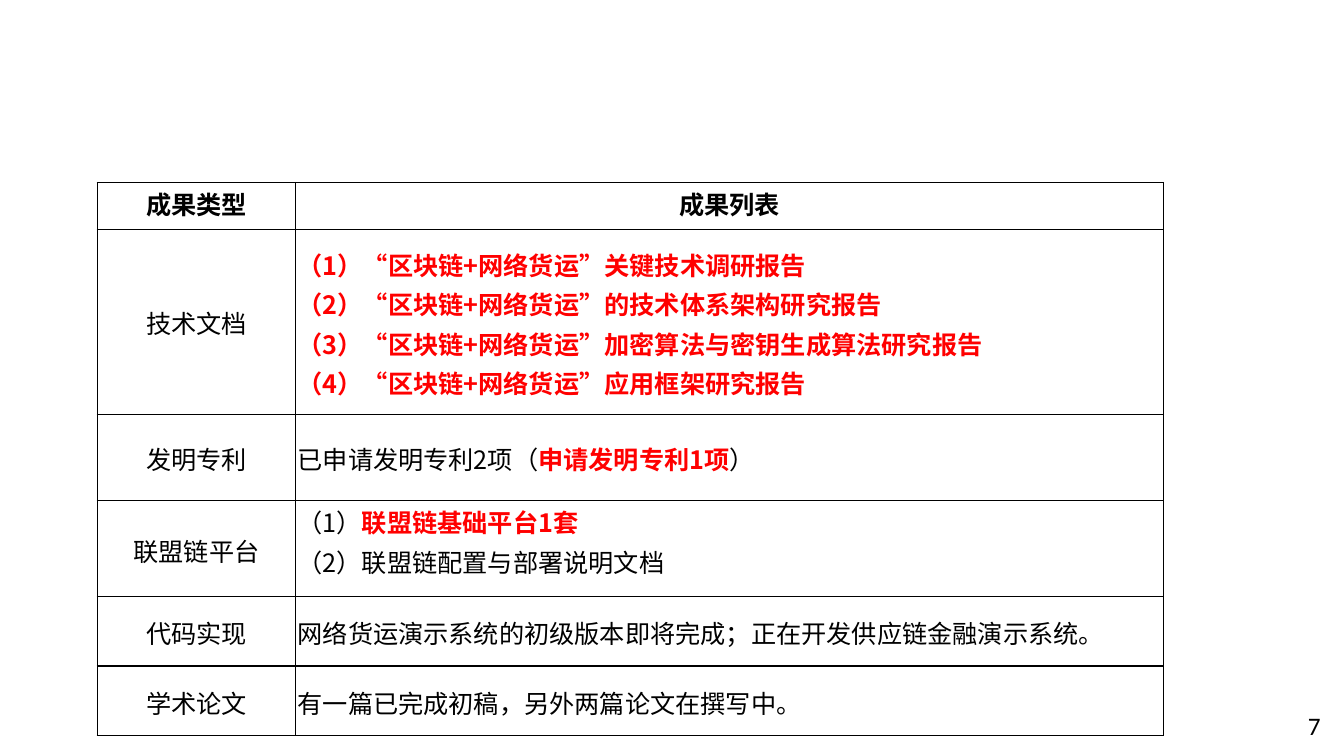
from lxml.etree import SubElement
from pptx import Presentation
from pptx.dml.color import RGBColor
from pptx.enum.text import MSO_ANCHOR as Anchor, PP_ALIGN as Align
from pptx.oxml.ns import qn
from pptx.util import Cm, Pt

BLACK = RGBColor(0x00, 0x00, 0x00)
RED = RGBColor(0xFF, 0x00, 0x00)
HEAD_FONT, BODY_FONT = "Calibri", "Noto Sans CJK SC"

PLAIN = {"size": Pt(18), "name": BODY_FONT, "bold": False, "color": BLACK}
HEAD = {**PLAIN, "name": HEAD_FONT, "bold": True}
DONE = {**PLAIN, "bold": True, "color": RED}
NUMBER = {**PLAIN, "name": HEAD_FONT}

COLUMN_WIDTHS = [5.0, 21.87]
ROW_HEIGHTS = [1.19, 4.65, 2.18, 2.41, 1.75, 1.75]
CELL_FORMAT = {"margin_left": Cm(0.05), "margin_right": Cm(0.05),
               "margin_top": 0, "margin_bottom": 0}

REPORTS = ["关键技术调研报告", "的技术体系架构研究报告",
           "加密算法与密钥生成算法研究报告", "应用框架研究报告"]

# Each result is a list of paragraphs, each paragraph a list of (text, format)
RESULTS = [
    ("技术文档", [[(f"（{n}）“区块链+网络货运”{report}", DONE)]
              for n, report in enumerate(REPORTS, 1)]),
    ("发明专利", [[("已申请发明专利2项（", PLAIN), ("申请发明专利1项", DONE),
               ("）", PLAIN)]]),
    ("联盟链平台", [[("（1）", PLAIN), ("联盟链基础平台1套", DONE)],
               [("（2）联盟链配置与部署说明文档", PLAIN)]]),
    ("代码实现", [[("网络货运演示系统的初级版本即将完成；正在开发供应链金融演示系统。", PLAIN)]]),
    ("学术论文", [[("有一篇已完成初稿，另外两篇论文在撰写中。", PLAIN)]]),
]


def write_text(frame, paragraphs, align, spacing=None):
    for index, pieces in enumerate(paragraphs):
        paragraph = frame.add_paragraph() if index else frame.paragraphs[0]
        paragraph.alignment = align
        paragraph.line_spacing = spacing
        for text, style in pieces:
            run = paragraph.add_run()
            run.text = text
            for key, value in style.items():
                if key == "color":
                    run.font.color.rgb = value
                else:
                    setattr(run.font, key, value)
            east_asian = SubElement(run.font._element, qn("a:ea"))
            east_asian.set("typeface", style["name"])


def draw_borders(cell):
    properties = cell._tc.get_or_add_tcPr()
    for side in ("L", "R", "T", "B"):
        border = SubElement(properties, qn(f"a:ln{side}"), w=str(Pt(1)))
        fill = SubElement(border, qn("a:solidFill"))
        SubElement(fill, qn("a:srgbClr"), val=str(BLACK))


def fill_cell(cell, paragraphs, align, spacing=None, anchor=Anchor.MIDDLE):
    for key, value in CELL_FORMAT.items():
        setattr(cell, key, value)
    cell.vertical_anchor = anchor
    draw_borders(cell)
    cell.fill.background()
    write_text(cell.text_frame, paragraphs, align, spacing)


def add_results_table(slide, left, top):
    results = slide.shapes.add_table(
        len(ROW_HEIGHTS), len(COLUMN_WIDTHS), left, top,
        Cm(sum(COLUMN_WIDTHS)), Cm(sum(ROW_HEIGHTS))).table
    results.first_row = results.horz_banding = False
    for column, width in zip(results.columns, COLUMN_WIDTHS):
        column.width = Cm(width)
    for row, height in zip(results.rows, ROW_HEIGHTS):
        row.height = Cm(height)

    # Heading row
    for column, heading in enumerate(["成果类型", "成果列表"]):
        fill_cell(results.cell(0, column), [[(heading, HEAD)]], Align.CENTER)

    # One row per kind of result
    for row, (kind, items) in enumerate(RESULTS, 1):
        platform = kind == "联盟链平台"
        fill_cell(results.cell(row, 0), [[(kind, PLAIN)]], Align.CENTER,
                  None if row == 1 else Pt(28))
        fill_cell(results.cell(row, 1), items,
                  Align.LEFT if platform else Align.JUSTIFY, Pt(28),
                  Anchor.TOP if platform else Anchor.MIDDLE)


def add_page_number(slide, left, top, width, height):
    frame = slide.shapes.add_textbox(left, top, width, height).text_frame
    frame.word_wrap = True
    frame.vertical_anchor = Anchor.MIDDLE
    write_text(frame, [[("7", NUMBER)]], Align.RIGHT)


def main():
    deck = Presentation()
    deck.slide_width, deck.slide_height = Cm(33.87), Cm(19.05)
    slide = deck.slides.add_slide(deck.slide_layouts[6])
    add_results_table(slide, Cm(2.45), Cm(4.6))
    add_page_number(slide, Cm(25.91), Cm(17.78), Cm(7.62), Cm(1.02))
    deck.save("out.pptx")


if __name__ == "__main__":
    main()
